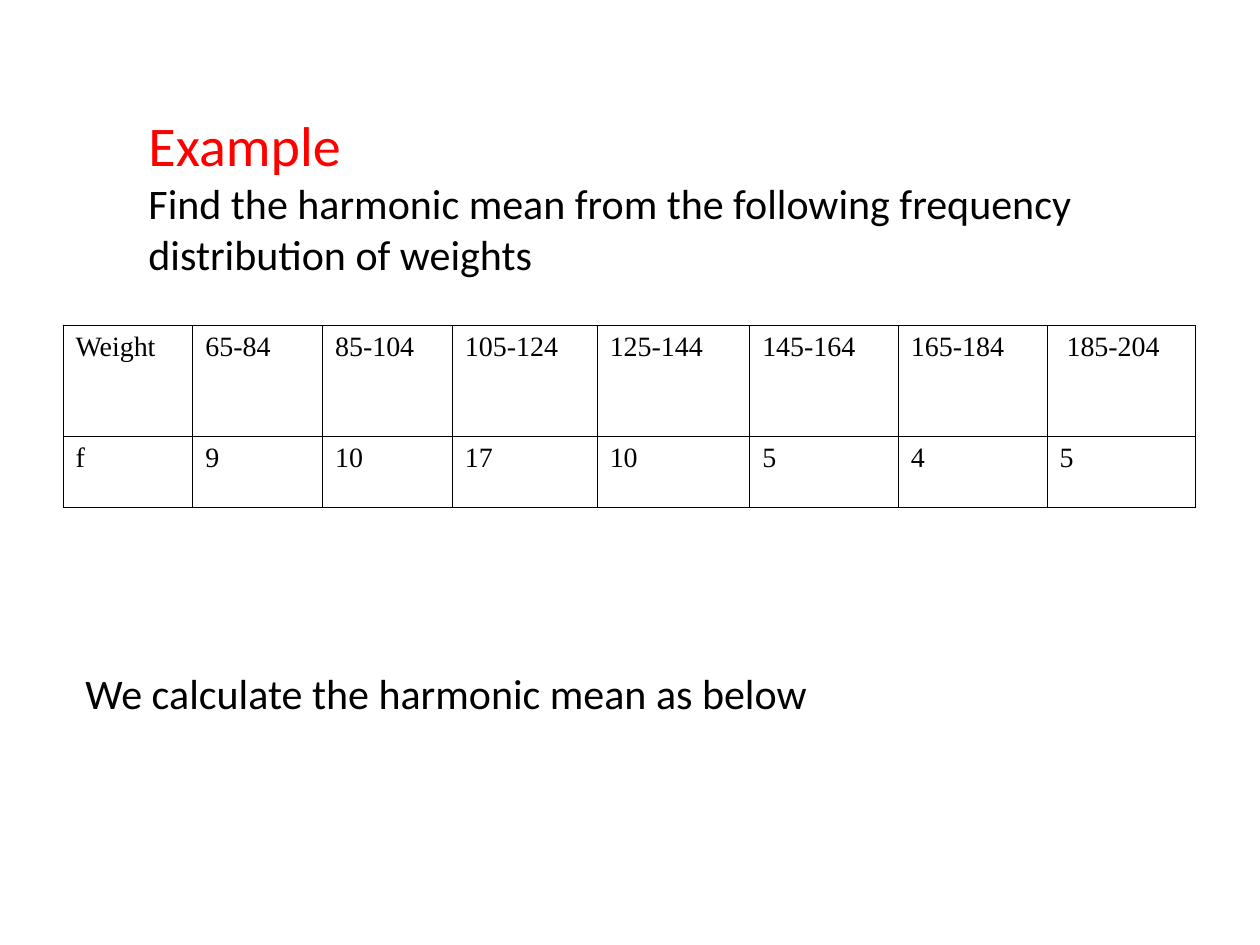
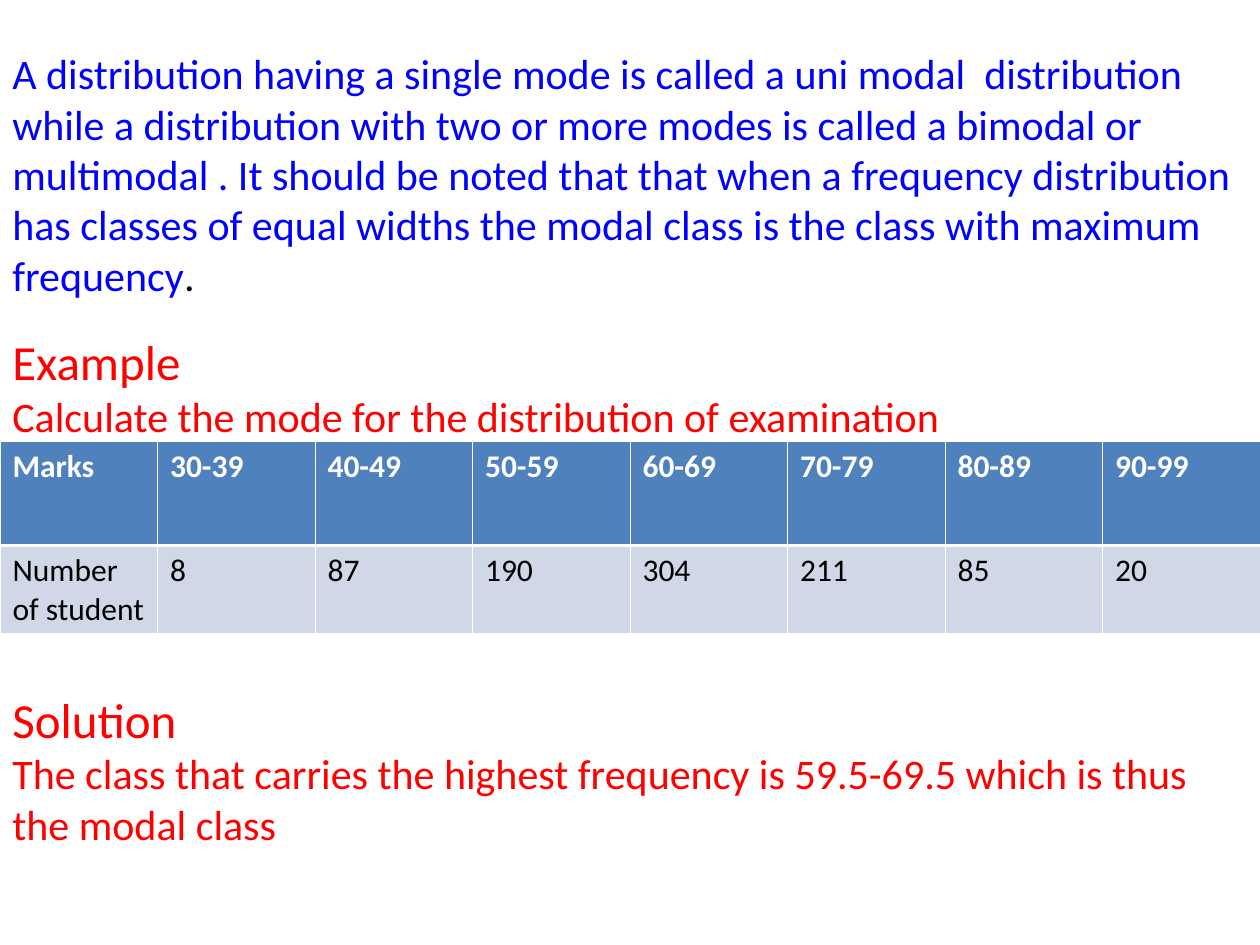
from lxml.etree import SubElement
from pptx import Presentation
from pptx.dml.color import RGBColor
from pptx.enum.text import MSO_AUTO_SIZE as AutoSize
from pptx.oxml.ns import qn
from pptx.util import Inches, Pt

BLACK, WHITE, RED, BLUE = "000000", "FFFFFF", "FF0000", "0000FF"
HEADER_FILL, BODY_FILL = "4F81BD", "D0D8E8"
THIN, THICK = 0.45, 1.47

# Content: each text is (box, paragraphs); each paragraph is (size, runs of (text, colour))
HARMONIC_TEXTS = [
    ((1.08, 0.83, 7.92, 1.44), [
        (32, [("Example", RED)]),
        (24, [("Find the harmonic mean from the following frequency distribution of weights", BLACK)]),
    ]),
    ((0.58, 5.25, 7.75, 0.5), [
        (24, [("We calculate the harmonic mean as below", BLACK)]),
    ]),
]
MODE_TEXTS = [
    ((0, 0.33, 10, 2.1), [
        (24, [("A distribution having a single mode is called a uni modal  distribution "
               "while a distribution with two or more modes is called a bimodal or multimodal . "
               "It should be noted that that when a frequency distribution has classes of equal "
               "widths the modal class is the class with maximum frequency", BLUE),
              (".", BLACK)]),
    ]),
    ((0, 2.58, 8.04, 0.97), [
        (28, [("Example", RED)]),
        (24, [("Calculate the mode for the distribution of examination", RED)]),
    ]),
    ((0, 5.42, 9.83, 1.37), [
        (28, [("Solution", RED)]),
        (24, [("The class that carries the highest frequency is 59.5-69.5 which is thus "
               "the modal class", RED)]),
    ]),
]
WEIGHT_TABLE = {
    "rows": [
        ["Weight", "65-84", "85-104", "105-124", "125-144", "145-164", "165-184", " 185-204"],
        ["f", "9", "10", "17", "10", "5", "4", "5"],
    ],
    "left": 0.5, "top": 2.58,
    "widths": [1.03] * 3 + [1.15, 1.21] + [1.18] * 3, "heights": [0.88, 0.57],
    "font": "Times New Roman", "size": 16, "line": BLACK, "divider": THIN,
    "row_styles": [(None, BLACK, False), (None, BLACK, False)],
}
MARKS_TABLE = {
    "rows": [
        ["Marks", "30-39", "40-49", "50-59", "60-69", "70-79", "80-89", "90-99"],
        ["Number of student", "8", "87", "190", "304", "211", "85", "20"],
    ],
    "left": 0, "top": 3.5,
    "widths": [1.25] * 8, "heights": [0.83, 0.7],
    "font": "Calibri", "size": 18, "line": WHITE, "divider": THICK,
    "row_styles": [(HEADER_FILL, WHITE, True), (BODY_FILL, BLACK, False)],
}
SLIDES = [(HARMONIC_TEXTS, WEIGHT_TABLE), (MODE_TEXTS, MARKS_TABLE)]


def color(hex_code):
    return RGBColor.from_string(hex_code)


def add_text(slide, box, paragraphs):
    shape = slide.shapes.add_textbox(*map(Inches, box))
    frame = shape.text_frame
    frame.word_wrap = True
    frame.auto_size = AutoSize.SHAPE_TO_FIT_TEXT
    for index, (size, runs) in enumerate(paragraphs):
        paragraph = frame.add_paragraph() if index else frame.paragraphs[0]
        paragraph.font.name, paragraph.font.size = "Calibri", Pt(size)
        for text, run_color in runs:
            run = paragraph.add_run()
            run.text = text
            run.font.color.rgb = color(run_color)


def set_borders(cell, hex_code, widths):
    """Draw the cell's left, right, top and bottom borders, widths in points."""
    properties = cell._tc.get_or_add_tcPr()
    for side, width in zip("LRTB", widths):
        line = SubElement(properties, qn(f"a:ln{side}"), w=str(Pt(width)))
        SubElement(SubElement(line, qn("a:solidFill")), qn("a:srgbClr"), val=hex_code)


def style_cell(cell, data, fill, text_color, bold):
    if fill:
        cell.fill.solid()
        cell.fill.fore_color.rgb = color(fill)
    else:
        cell.fill.background()
    font = cell.text_frame.paragraphs[0].font
    font.name, font.size, font.bold = data["font"], Pt(data["size"]), bold
    font.color.rgb = color(text_color)


def add_frequency_table(slide, data):
    rows, widths, heights = data["rows"], data["widths"], data["heights"]
    box = (data["left"], data["top"], sum(widths), sum(heights))
    table = slide.shapes.add_table(len(rows), len(widths), *map(Inches, box)).table
    table.first_row = table.horz_banding = False
    for column, width in zip(table.columns, widths):
        column.width = Inches(width)
    for row_index, texts in enumerate(rows):
        table.rows[row_index].height = Inches(heights[row_index])
        top = data["divider"] if row_index else THIN
        bottom = THIN if row_index else data["divider"]
        for column_index, text in enumerate(texts):
            cell = table.cell(row_index, column_index)
            cell.text = text
            set_borders(cell, data["line"], (THIN, THIN, top, bottom))
            style_cell(cell, data, *data["row_styles"][row_index])


def main():
    presentation = Presentation()
    presentation.slide_width, presentation.slide_height = Inches(10), Inches(7.5)
    blank_layout = presentation.slide_layouts[6]
    for texts, table in SLIDES:
        slide = presentation.slides.add_slide(blank_layout)
        for box, paragraphs in texts:
            add_text(slide, box, paragraphs)
        add_frequency_table(slide, table)
    presentation.save("out.pptx")


if __name__ == "__main__":
    main()
